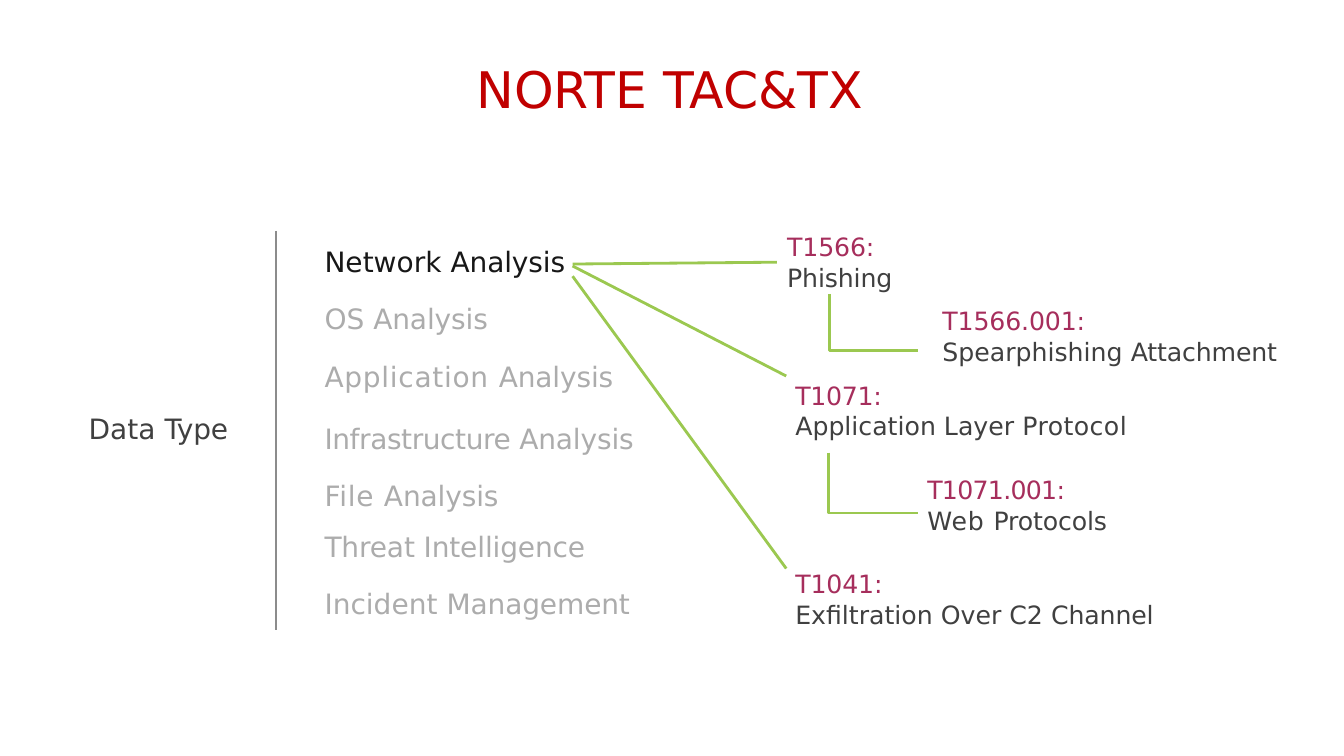
from dataclasses import dataclass

from lxml.etree import SubElement
from pptx import Presentation as new_presentation
from pptx.dml.color import RGBColor
from pptx.enum.shapes import MSO_CONNECTOR as Connector
from pptx.enum.text import MSO_ANCHOR as Anchor, MSO_AUTO_SIZE as AutoSize, PP_ALIGN as Align
from pptx.oxml.ns import qn
from pptx.util import Pt

FONT = "DejaVu Sans"
COLORS = {
    "title": "C00000",
    "text": "404040",
    "active": "171717",
    "muted": "ACACAC",
    "code": "A62E5C",
    "rule": "8C8C8C",
    "link": "9BC850",
}
FRAME_FORMAT = {
    "word_wrap": True,
    "auto_size": AutoSize.NONE,
    "vertical_anchor": Anchor.TOP,
    "margin_left": Pt(0.72),
    "margin_top": Pt(0.72),
    "margin_right": 0,
    "margin_bottom": 0,
}


@dataclass
class Line:
    """One paragraph; runs are (text, letter spacing in points)."""
    runs: list[tuple[str, float]]
    color: str
    size: float
    before: float = 1


@dataclass
class Technique:
    left: float
    top: float
    width: float
    code: tuple[str, float]
    name: list[tuple[str, float]]
    gap: float = 0.5


@dataclass
class Path:
    points: list[tuple[float, float]]
    color: str = "link"


DATA_TYPES = [
    Line([("Network ", 0), ("Analysis", -0.1)], "active", 20),
    Line([("OS ", 0), ("Analysis", -0.1)], "muted", 20, 16.3),
    Line([("Application ", 0.5), ("Analysis", -0.1)], "muted", 20, 17.4),
    Line([("Infrastructure ", -0.3), ("Analysis", -0.1)], "muted", 20, 20.2),
    Line([("File ", 0.5), ("Analysis", -0.1)], "muted", 20, 16.8),
    Line([("Threat Intelligence", -0.1)], "muted", 20, 12.8),
    Line([("Incident ", 0), ("Management", -0.1)], "muted", 20, 16.8),
]
TECHNIQUES = [
    Technique(561.6, 164.2, 78.5, ("T1566:", -0.1), [("Phishing", -0.1)]),
    Technique(672.5, 217.5, 243.4, ("T1566.001:", -0.1),
              [("Spearphishing ", 0), ("Attachment", -0.1)]),
    Technique(567.4, 270.8, 244, ("T1071:", -0.2),
              [("Application Layer ", 0), ("Protocol", 0.3)], 0.2),
    Technique(661.7, 338.4, 135.4, ("T1071.001:", -0.5),
              [("Web ", 0.6), ("Protocols", -0.1)]),
    Technique(567.4, 405.4, 259.2, ("T1041:", -0.1),
              [("Exfiltration Over C2 ", 0), ("Channel", -0.1)]),
]
PATHS = [
    Path([(197.2, 164.9), (197.2, 450)], "rule"),
    Path([(409, 188.6), (555, 187.3)]),
    Path([(409, 190), (561.6, 268.6)]),
    Path([(409, 197.3), (561.6, 406.1)]),
    Path([(592.4, 210), (592.4, 250.6), (655.9, 250.6)]),
    Path([(591.8, 323.3), (591.8, 366.5), (655.9, 366.5)]),
]


def rgb(name: str) -> RGBColor:
    return RGBColor.from_string(COLORS[name])


def apply(target, values: dict) -> None:
    for attribute, value in values.items():
        setattr(target, attribute, value)


def place(shape, left: float, top: float, width: float, height: float) -> None:
    apply(shape, {"left": Pt(left), "top": Pt(top), "width": Pt(width), "height": Pt(height)})


def write(shape, lines: list[Line], indent: float = 0.72) -> None:
    frame = shape.text_frame
    apply(frame, FRAME_FORMAT | {"margin_left": Pt(indent)})
    for index, line in enumerate(lines):
        paragraph = frame.add_paragraph() if index else frame.paragraphs[0]
        apply(paragraph, {"alignment": Align.LEFT, "space_before": Pt(line.before),
                          "space_after": Pt(0), "line_spacing": 1.0})
        # Plain lines without bullet or hanging indent
        properties = paragraph._p.get_or_add_pPr()
        properties.set("marL", "0")
        properties.set("indent", "0")
        SubElement(properties, qn("a:buNone"))
        for text, spacing in line.runs:
            run = paragraph.add_run()
            run.text = text
            apply(run.font, {"name": FONT, "size": Pt(line.size), "bold": False})
            run.font.color.rgb = rgb(line.color)
            run._r.get_or_add_rPr().set("spc", str(round(spacing * 100)))


def draw_path(slide, path: Path) -> None:
    points = [(Pt(x), Pt(y)) for x, y in path.points]
    if len(points) == 2:
        shape = slide.shapes.add_connector(Connector.STRAIGHT, *points[0], *points[1])
        SubElement(shape._element.spPr, qn("a:effectLst"))
    else:
        builder = slide.shapes.build_freeform(*points[0])
        builder.add_line_segments(points[1:], close=False)
        shape = builder.convert_to_shape()
        shape.shadow.inherit = False
        shape.fill.background()
    shape.line.color.rgb = rgb(path.color)
    shape.line.width = Pt(2)


def draw_technique(slide, technique: Technique) -> None:
    box = slide.shapes.add_textbox(0, 0, 0, 0)
    place(box, technique.left, technique.top, technique.width, 45.4)
    write(box, [Line([technique.code], "code", 18),
                Line(technique.name, "text", 18, technique.gap)])


def main() -> None:
    presentation = new_presentation()
    apply(presentation, {"slide_width": Pt(960), "slide_height": Pt(540)})
    slide = presentation.slides.add_slide(presentation.slide_layouts[1])

    # Title
    title = slide.shapes.title
    place(title, 199.4, 41, 554.4, 45.4)
    write(title, [Line([("NORTE TAC&TX", -0.1)], "title", 36)], indent=141.1)

    # Data types
    label = slide.shapes.add_textbox(0, 0, 0, 0)
    place(label, 62.6, 293, 104.4, 25.9)
    write(label, [Line([("Data ", 0), ("Type", -0.2)], "text", 20)])
    data_list = slide.placeholders[1]
    place(data_list, 231.1, 174.2, 227.5, 268)
    write(data_list, DATA_TYPES)

    # Techniques and the lines that lead to them
    for path in PATHS:
        draw_path(slide, path)
    for technique in TECHNIQUES:
        draw_technique(slide, technique)

    presentation.save("out.pptx")


if __name__ == "__main__":
    main()
